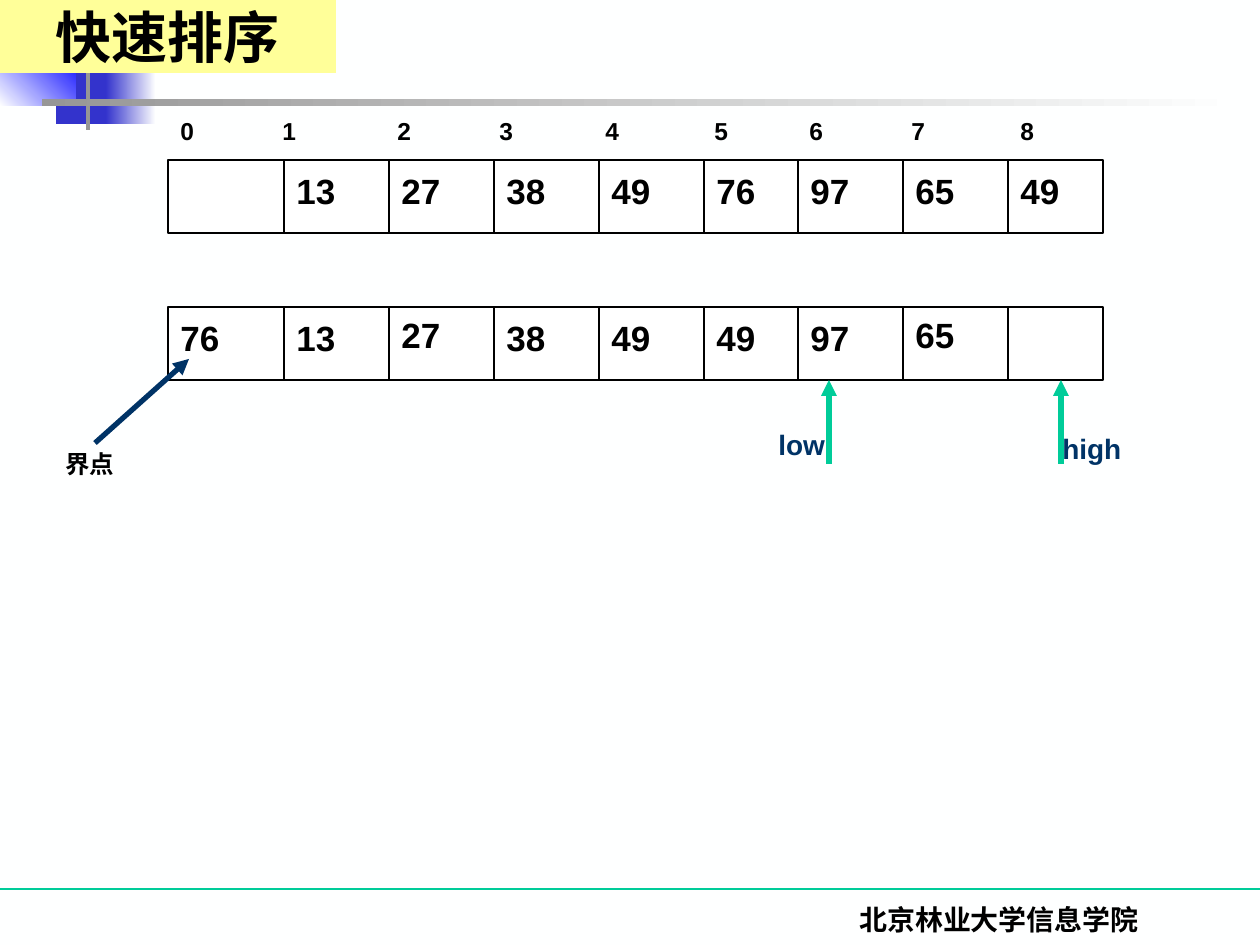
from lxml import etree
from pptx import Presentation
from pptx.dml.color import RGBColor
from pptx.enum.lang import MSO_LANGUAGE_ID
from pptx.enum.shapes import MSO_CONNECTOR, MSO_SHAPE
from pptx.enum.text import MSO_ANCHOR, PP_ALIGN
from pptx.oxml.ns import qn
from pptx.util import Emu, Pt

RECT, STRAIGHT = MSO_SHAPE.RECTANGLE, MSO_CONNECTOR.STRAIGHT
LEFT, CENTER = PP_ALIGN.LEFT, PP_ALIGN.CENTER
TOP, MIDDLE = MSO_ANCHOR.TOP, MSO_ANCHOR.MIDDLE
CHINESE = MSO_LANGUAGE_ID.SIMPLIFIED_CHINESE

# Content
TITLE = "快速排序"
FOOTER = "北京林业大学信息学院"
INDICES = "012345678"
INDEX_TABS = [102, 217, 319, 425, 534, 629, 731, 840]
CELL_EDGES = [168, 284, 389, 494, 599, 704, 798, 903, 1008, 1103]
ARRAYS = [  # row top, values, columns whose number sits higher
    (160, ["", "13", "27", "38", "49", "76", "97", "65", "49"], ()),
    (307, ["76", "13", "27", "38", "49", "49", "97", "65", ""], (2, 7)),
]
POINTERS = [  # arrow x, label, label left, label top
    (1061, "high", 1050, 425),
    (829, "low", 766, 421),
]
PIVOT = "界点"
ORNAMENT = [  # left, top, width, height, colours, gradient angle
    (56, 58, 58, 66, ["indigo"], 0),
    (106, 58, 50, 66, ["indigo", "page"], 0),
    (0, 48, 76, 58, ["page", "blue"], 45),
    (86, 0, 4, 130, ["grey"], 0),
    (42, 99, 1198, 7, ["grey", "page"], 0),
]

THEME = {
    "page": "FEFFFF", "cell": "FFFFFF", "ink": "000000", "navy": "003366",
    "green": "00CC99", "indigo": "3333CC", "blue": "0000FF",
    "grey": "969696", "yellow": "FFFF99",
    "sans": "Arial", "serif": "Times New Roman",
    "title": 32, "value": 20, "label": 16, "small": 14,
    "thin": 0.75, "thick": 3,
}
CELL_HEIGHT = 73
VALUE_DROP = 3


def px(n):
    return Emu(round(n * 914400 / 126))


def box(*lengths):
    return [px(n) for n in lengths]


def color(name):
    return RGBColor.from_string(THEME[name])


def write(frame, text, size="value", font="sans", ink="ink", align=LEFT,
          anchor=TOP, tabs=()):
    frame.word_wrap = True
    frame.vertical_anchor = anchor
    paragraph = frame.paragraphs[0]
    paragraph.alignment = align
    if tabs:
        stops = etree.SubElement(paragraph._p.get_or_add_pPr(), qn("a:tabLst"))
        for stop in tabs:
            etree.SubElement(stops, qn("a:tab"), pos=str(px(stop)), algn="l")
    run = paragraph.add_run()
    run.text = text
    run.font.size = Pt(THEME[size])
    run.font.name = THEME[font]
    run.font.bold = True
    run.font.color.rgb = color(ink)
    run.font.language_id = CHINESE


def add_text(place, text, **style):
    write(slide.shapes.add_textbox(*box(*place)).text_frame, text, **style)


def add_rect(place, colors, angle=0, outline=None):
    rect = slide.shapes.add_shape(RECT, *box(*place))
    rect.shadow.inherit = False
    if len(colors) == 1:
        rect.fill.solid()
        rect.fill.fore_color.rgb = color(colors[0])
    else:
        rect.fill.gradient()
        rect.fill.gradient_angle = angle
        for stop, name in zip(rect.fill.gradient_stops, colors):
            stop.color.rgb = color(name)
    if outline:
        rect.line.color.rgb = color(outline)
        rect.line.width = Pt(THEME["thin"])
    else:
        rect.line.fill.background()


def add_line(ends, ink="ink", width="thin", arrow=False):
    line = slide.shapes.add_connector(STRAIGHT, *box(*ends))
    line.line.color.rgb = color(ink)
    line.line.width = Pt(THEME[width])
    if arrow:
        etree.SubElement(line.line._get_or_add_ln(), qn("a:tailEnd"), type="triangle")
    etree.SubElement(line._element.spPr, qn("a:effectLst"))


deck = Presentation()
deck.slide_width, deck.slide_height = box(1260, 945)
slide = deck.slides.add_slide(deck.slide_layouts[5])
slide.background.fill.solid()
slide.background.fill.fore_color.rgb = color("page")

# Ornament and footer
add_line((0, 889, 1260, 889), ink="green")
for *place, colors, angle in ORNAMENT:
    add_rect(place, colors, angle)
add_text((738, 896, 522, 49), FOOTER, size="label", font="serif", align=CENTER)

# Index row and arrays
first, last = CELL_EDGES[0], CELL_EDGES[-1]
add_text((first, 110, last - first, 43), "\t".join(INDICES), size="small",
         tabs=INDEX_TABS)
for top, values, raised in ARRAYS:
    add_rect((first, top, last - first, CELL_HEIGHT), ["cell"], outline="ink")
    for edge in CELL_EDGES[1:-1]:
        add_line((edge, top, edge, top + CELL_HEIGHT))
    for column, (edge, value) in enumerate(zip(CELL_EDGES, values)):
        if value:
            drop = 0 if column in raised else VALUE_DROP
            add_text((edge, top + drop, 84, 55), value)

# Pointers and pivot under the second array
for x, label, left, top in POINTERS:
    add_line((x, 464, x, 380), ink="green", width="thick", arrow=True)
    add_text((left, top, 116, 47), label, size="label", ink="navy")
add_text((53, 443, 105, 43), PIVOT, size="small")
add_line((95, 443, 189, 359), ink="navy", width="thick", arrow=True)

# Title, in front of the ornament
title = slide.shapes.title
title.left, title.top, title.width, title.height = box(0, 0, 336, 73)
title.fill.solid()
title.fill.fore_color.rgb = color("yellow")
write(title.text_frame, TITLE, size="title", font="serif", align=CENTER, anchor=MIDDLE)
slide.shapes._spTree.append(title._element)

deck.save("out.pptx")
